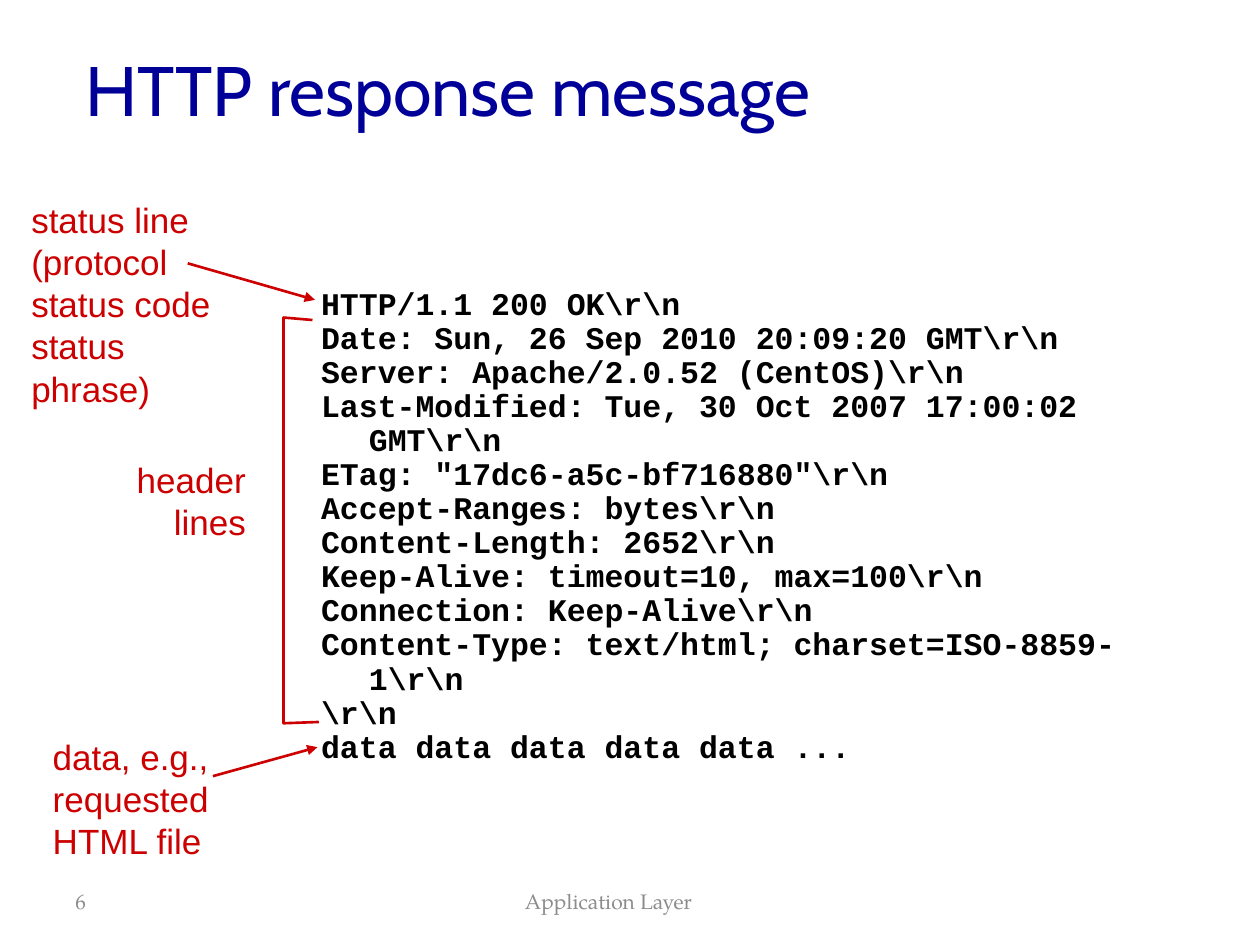
"""Build the slide on the HTTP response message."""
from lxml import etree
from pptx import Presentation
from pptx.dml.color import RGBColor
from pptx.enum.shapes import MSO_CONNECTOR
from pptx.enum.text import MSO_ANCHOR, PP_ALIGN
from pptx.oxml.ns import qn
from pptx.util import Inches, Pt

LEFT, MID, RIGHT = PP_ALIGN.LEFT, PP_ALIGN.CENTER, PP_ALIGN.RIGHT
TOP, CENTER = MSO_ANCHOR.TOP, MSO_ANCHOR.MIDDLE
STRAIGHT = MSO_CONNECTOR.STRAIGHT
RED = "CC0000"

TITLE = {"name": "Cabin", "size": Pt(40), "color": "000099"}
NOTE = {"name": "Arial", "size": Pt(20), "color": RED}
CODE = {"name": "Courier New", "size": Pt(18), "bold": True, "color": "000000"}
FOOT = {"name": "TeX Gyre Pagella", "size": Pt(12), "color": "8C8C8C"}

HEAD = [
    "HTTP/1.1 200 OK",
    "Date: Sun, 26 Sep 2010 20:09:20 GMT",
    "Server: Apache/2.0.52 (CentOS)",
    "Last-Modified: Tue, 30 Oct 2007 17:00:02 GMT",
    'ETag: "17dc6-a5c-bf716880"',
    "Accept-Ranges: bytes",
    "Content-Length: 2652",
    "Keep-Alive: timeout=10, max=100",
    "Connection: Keep-Alive",
    "Content-Type: text/html; charset=ISO-8859-1",
    "",
]
REPLY = [line + r"\r\n" for line in HEAD] + ["data data data data data ..."]

NOTES = [
    ((0.15, 1.53, 1.96, 1.43), LEFT,
     ["status line", "(protocol", "status code", "status phrase)"]),
    ((0.98, 3.59, 1.07, 0.77), RIGHT, ["header", "lines"]),
    ((0.32, 5.79, 1.51, 1.1), LEFT, ["data, e.g.,", "requested", "HTML file"]),
]
ARROWS = [((1.49, 2.09), (2.5, 2.38)), ((1.69, 6.16), (2.52, 5.93))]
BRACE = [(2.48, 2.54), (2.25, 2.52), (2.25, 5.74), (2.53, 5.73)]
FEET = [((0.5, 6.95, 1.17, 0.4), LEFT, "6"),
        ((1.83, 6.95, 6, 0.4), MID, "Application Layer")]


def tint(code):
    """Return the colour for a hex string."""
    return RGBColor.from_string(code)


def style(font, look):
    """Set the font from a dict of format values."""
    for key, value in look.items():
        if key == "color":
            font.color.rgb = tint(value)
        else:
            setattr(font, key, value)


def fill(shape, lines, look, align=LEFT, anchor=TOP):
    """Write the lines into a shape and return its paragraphs."""
    frame = shape.text_frame
    frame.word_wrap = True
    frame.vertical_anchor = anchor
    frame.text = "\n".join(lines)
    for para in frame.paragraphs:
        para.alignment = align
        style(para.font, look)
    return frame.paragraphs


def add_text(slide, box, *args):
    """Add a text box and return its paragraphs."""
    return fill(slide.shapes.add_textbox(*map(Inches, box)), *args)


def add_title(slide, text):
    """Place and fill the title."""
    title = slide.shapes.title
    box = {"left": 0.58, "top": 0.17, "width": 8.5, "height": 1.07}
    for key, value in box.items():
        setattr(title, key, Inches(value))
    fill(title, [text], TITLE, LEFT, CENTER)


def add_code(slide, box, lines):
    """Add the message with hanging indents."""
    for para in add_text(slide, box, lines, CODE):
        para.line_spacing = 0.9
        props = para._p.get_or_add_pPr()
        props.set("marL", str(Inches(0.38)))
        props.set("indent", str(-Inches(0.38)))


def ink(line):
    """Give a line its colour and width."""
    line.color.rgb = tint(RED)
    line.width = Pt(1.5)


def add_arrow(slide, start, end):
    """Add an arrow between two points."""
    arrow = slide.shapes.add_connector(STRAIGHT, *map(Inches, start + end))
    ink(arrow.line)
    edge = arrow.line._get_or_add_ln()
    etree.SubElement(edge, qn("a:tailEnd"), type="triangle")
    etree.SubElement(arrow._element.spPr, qn("a:effectLst"))


def add_brace(slide, points):
    """Add the open bracket beside the header lines."""
    spots = [tuple(map(Inches, point)) for point in points]
    path = slide.shapes.build_freeform(*spots[0])
    path.add_line_segments(spots[1:], close=False)
    brace = path.convert_to_shape()
    brace.shadow.inherit = False
    brace.fill.background()
    ink(brace.line)


def main():
    """Build and save the slide."""
    deck = Presentation()
    deck.slide_width, deck.slide_height = Inches(10), Inches(7.5)
    slide = deck.slides.add_slide(deck.slide_layouts[5])
    add_title(slide, "HTTP response message")
    for box, align, lines in NOTES:
        add_text(slide, box, lines, NOTE, align)
    for start, end in ARROWS:
        add_arrow(slide, start, end)
    add_brace(slide, BRACE)
    add_code(slide, (2.45, 2.24, 6.9, 3.89), REPLY)
    for box, align, text in FEET:
        add_text(slide, box, [text], FOOT, align, CENTER)
    deck.save("out.pptx")


if __name__ == "__main__":
    main()
